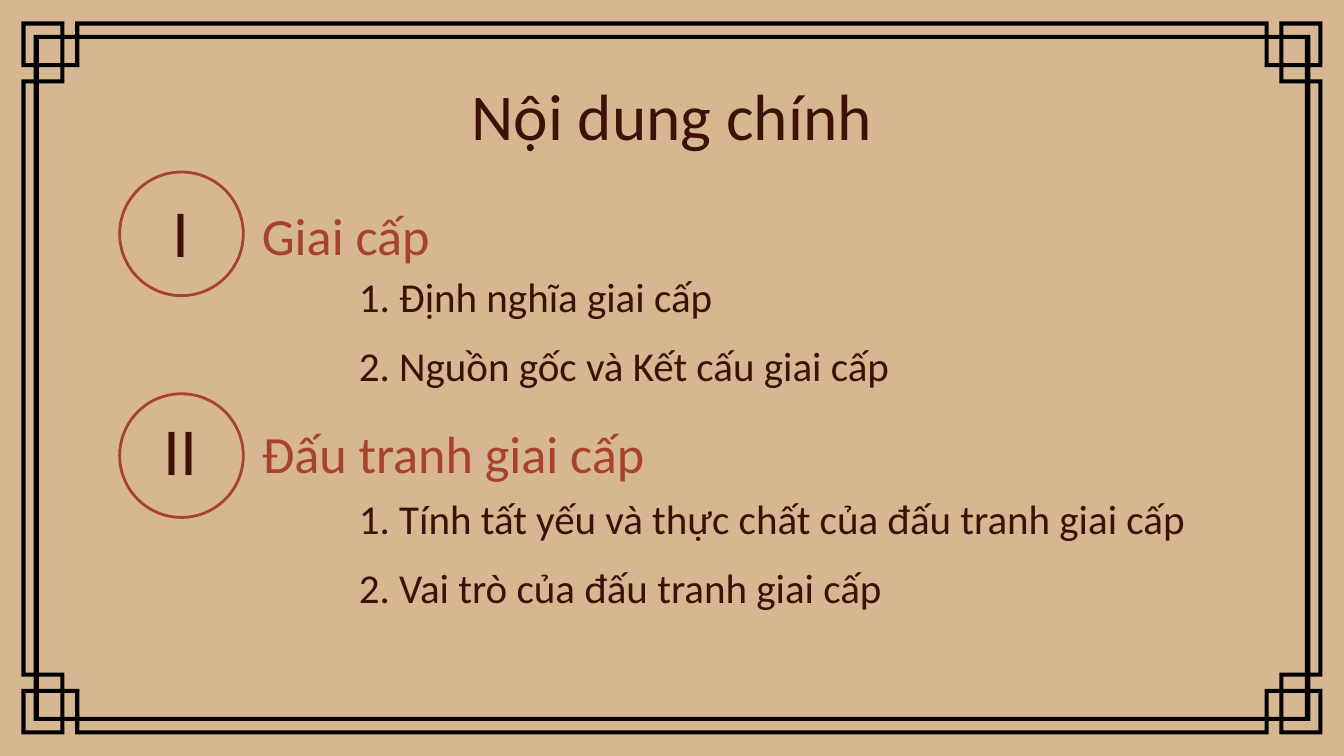
from pptx import Presentation
from pptx.dml.color import RGBColor
from pptx.enum.shapes import MSO_SHAPE as Shape
from pptx.enum.text import MSO_ANCHOR as Anchor, MSO_AUTO_SIZE as AutoSize, PP_ALIGN as Align
from pptx.util import Inches, Pt
from lxml.etree import SubElement
from pptx.oxml.ns import qn

COLORS = {"sand": "D6B791", "frame": "000000", "dark": "3E1106", "rust": "A8432B"}
COLORS = {name: RGBColor.from_string(value) for name, value in COLORS.items()}
CELL = Inches(0.1)
COLUMNS, ROWS = 100, 56.25
SECTION_ROWS, LABEL_ROWS, LINE_ROWS = 16.5, 16.2, 5.2

SECTIONS = [
    ("I", "Giai cấp", ["1. Định nghĩa giai cấp", "2. Nguồn gốc và Kết cấu giai cấp"]),
    ("II", "Đấu tranh giai cấp",
     ["1. Tính tất yếu và thực chất của đấu tranh giai cấp", "2. Vai trò của đấu tranh giai cấp"]),
]


def mirror(points, flip_x, flip_y):
    return [(COLUMNS - x if flip_x else x, ROWS - y if flip_y else y) for x, y in points]


def write(box, area, lines, size, color, align=Align.LEFT):
    box.left, box.top, box.width, box.height = [round(n * CELL) for n in area]
    text = box.text_frame
    text.word_wrap = True
    text.auto_size = AutoSize.NONE
    text.vertical_anchor = Anchor.MIDDLE
    text.margin_left = text.margin_right = text.margin_top = text.margin_bottom = CELL
    for index, line in enumerate(lines):
        para = text.add_paragraph() if index else text.paragraphs[0]
        para.alignment = align
        para.line_spacing = 1.0
        para.space_before = Pt(10.6 if index else 0)
        if box.is_placeholder:
            props = para._p.get_or_add_pPr()
            props.set("marL", "0")
            props.set("indent", "0")
            SubElement(props, qn("a:buNone"))
        span = para.add_run()
        span.text = line
        span.font.name = "Calibri"
        span.font.size = Pt(size)
        span.font.color.rgb = COLORS[color]


deck = Presentation()
deck.slide_width, deck.slide_height = COLUMNS * CELL, round(ROWS * CELL)
page = deck.slides.add_slide(deck.slide_layouts.get_by_name("Two Content"))
page.background.fill.solid()
page.background.fill.fore_color.rgb = COLORS["sand"]

outer = [(1.6, 5.9), (2.5, 5.9), (2.5, 5), (1.6, 5), (1.6, 1.6), (4.8, 1.6), (4.8, 2.6), (5.6, 2.6), (5.6, 1.6)]
inner = [(2.9, 6.2), (4.8, 6.2), (4.8, 5), (5.9, 5), (5.9, 2.9)]
contours = [
    quarter + mirror(quarter, True, False)[::-1] + mirror(quarter, True, True) + mirror(quarter, False, True)[::-1]
    for quarter in (outer, inner)
]
bend = [(1.9, 1.9), (4.5, 1.9), (4.5, 2.6), (2.5, 2.6), (2.5, 4.7), (1.9, 4.7)]
windows = [(2.9, 2.9, 4.5, 4.7), (4.8, 2.9, 5.6, 4.7), (2.9, 5, 4.5, 5.9)]
bars = [(5.9, 1.9, COLUMNS - 5.9, 2.6), (1.9, 6.2, 2.5, ROWS - 6.2)]
windows, bars = [
    [[(left, top), (right, top), (right, bottom), (left, bottom)] for left, top, right, bottom in group]
    for group in (windows, bars)
]
for flip_x in (False, True):
    for flip_y in (False, True):
        contours += [mirror(hole, flip_x, flip_y) for hole in [bend] + windows]
for flip in (False, True):
    contours += [mirror(bar, flip, flip) for bar in bars]

contours = [[(round(x * CELL), round(y * CELL)) for x, y in contour] for contour in contours]
builder = page.shapes.build_freeform(*contours[0][0], scale=1.0)
builder.add_line_segments(contours[0][1:], close=True)
for contour in contours[1:]:
    builder.move_to(*contour[0])
    builder.add_line_segments(contour[1:], close=True)
frame = builder.convert_to_shape()
frame.shadow.inherit = False
frame.fill.solid()
frame.fill.fore_color.rgb = COLORS["frame"]
frame.line.fill.background()

write(page.shapes.title, (7.8, 5.9, 84.4, 5.2), ["Nội dung chính"], 35, "dark", Align.CENTER)

for index, (numeral, heading, items) in enumerate(SECTIONS):
    top, label_top = index * SECTION_ROWS, index * LABEL_ROWS
    ring = page.shapes.add_shape(
        Shape.OVAL, *[round(n * CELL) for n in (8.9, 12.8 + top, 9.2, 9.2)])
    ring.shadow.inherit = False
    ring.fill.background()
    ring.line.color.rgb = COLORS["rust"]
    ring.line.width = Pt(1.5)
    number_box = page.shapes.add_textbox(0, 0, 0, 0)
    write(number_box, (9.3, 14.8 + label_top, 8.3, 4.7), [numeral], 36, "dark", Align.CENTER)
    heading_box = page.shapes.add_textbox(0, 0, 0, 0)
    write(heading_box, (18.5, 12.8 + label_top, 36, 9.3), [heading], 28, "rust")
    write(page.placeholders[index + 1], (25.7, 19.4 + top, 69, 2 * LINE_ROWS), items, 22, "dark")

deck.save("out.pptx")
